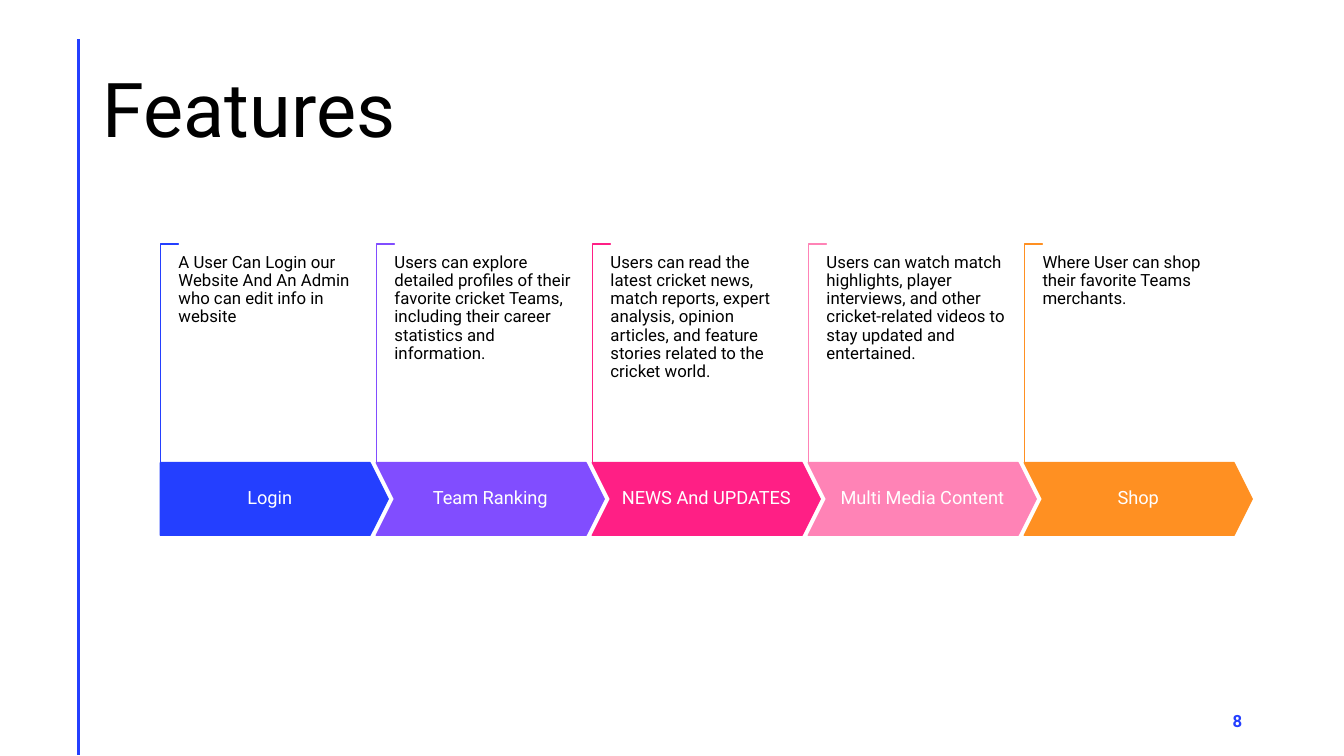
from lxml import etree
from pptx import Presentation
from pptx.dml.color import RGBColor
from pptx.enum.shapes import MSO_CONNECTOR, MSO_SHAPE
from pptx.enum.text import MSO_ANCHOR, MSO_AUTO_SIZE, PP_ALIGN
from pptx.oxml.ns import qn
from pptx.util import Inches, Pt

STRAIGHT = MSO_CONNECTOR.STRAIGHT
BRACKET, PENTAGON, CHEVRON = MSO_SHAPE.CORNER, MSO_SHAPE.PENTAGON, MSO_SHAPE.CHEVRON
TOP, MIDDLE = MSO_ANCHOR.TOP, MSO_ANCHOR.MIDDLE
LEFT, CENTER, RIGHT = PP_ALIGN.LEFT, PP_ALIGN.CENTER, PP_ALIGN.RIGHT

BLUE = RGBColor(0x24, 0x3F, 0xFF)
PURPLE = RGBColor(0x81, 0x4D, 0xFF)
MAGENTA = RGBColor(0xFF, 0x1F, 0x85)
PINK = RGBColor(0xFF, 0x83, 0xB6)
ORANGE = RGBColor(0xFF, 0x90, 0x22)
WHITE = RGBColor(0xFF, 0xFF, 0xFF)
BLACK = RGBColor(0, 0, 0)

# Content: name, description, colour, description height
TITLE = "Features"
PAGE_NUMBER = "8"
FEATURES = [
    ("Login",
     "A User Can Login our Website And An Admin who can edit info in website",
     BLUE, 1.96),
    ("Team Ranking",
     "Users can explore detailed profiles of their favorite cricket Teams, "
     "including their career statistics and information.",
     PURPLE, 1.96),
    ("NEWS And UPDATES",
     "Users can read the latest cricket news, match reports, expert analysis, "
     "opinion articles, and feature stories related to the cricket world.",
     MAGENTA, 1.55),
    ("Multi Media Content",
     "Users can watch match highlights, player interviews, and other "
     "cricket-related videos to stay updated and entertained.",
     PINK, 1.55),
    ("Shop", "Where User can shop their favorite Teams merchants.", ORANGE, 1.55),
]

# Text formats
TITLE_FONT = {"name": "Roboto", "size": Pt(54), "bold": False}
NUMBER_FONT = {"name": "Roboto", "size": Pt(12), "bold": True}
LABEL_FONT = {"name": "Roboto", "size": Pt(13)}
BODY_FONT = {"name": "Roboto", "size": Pt(12)}

# Layout in inches
FIRST_LEFT, PITCH = 1.59, 8.57 / 4
ARROW_TOP, ARROW_WIDTH, ARROW_HEIGHT = 4.59, 2.26, 0.72
BRACKET_LENGTH, BRACKET_DEPTH = 2.17, 0.18
BODY_TOP, BODY_WIDTH = 2.52, 1.83


def write(shape, text, font_format, color, align, anchor, margins=(0.1, 0.05), spacing=0.9):
    frame = shape.text_frame
    horizontal, vertical = (Inches(margin) for margin in margins)
    frame_format = {
        "auto_size": MSO_AUTO_SIZE.NONE, "word_wrap": True, "vertical_anchor": anchor,
        "margin_left": horizontal, "margin_right": horizontal,
        "margin_top": vertical, "margin_bottom": vertical,
    }
    for name, value in frame_format.items():
        setattr(frame, name, value)
    paragraph = frame.paragraphs[0]
    paragraph.alignment = align
    paragraph.line_spacing = spacing
    run = paragraph.add_run()
    run.text = text
    for name, value in font_format.items():
        setattr(run.font, name, value)
    run.font.color.rgb = color


def add_outline(slide, kind, box, fill, line, adjustments):
    shape = slide.shapes.add_shape(kind, *(Inches(value) for value in box))
    shape.shadow.inherit = False
    shape.fill.solid()
    shape.fill.fore_color.rgb = fill
    shape.line.color.rgb = line
    shape.line.width = Pt(1)
    for index, value in enumerate(adjustments):
        shape.adjustments[index] = value
    return shape


def add_text(slide, box, *text_format, **options):
    shape = slide.shapes.add_textbox(*(Inches(value) for value in box))
    write(shape, *text_format, **options)


def add_feature(slide, index, name, description, color, body_height):
    left = FIRST_LEFT + index * PITCH

    # Bracket: lies flat, then turns about its centre to stand on the arrow
    center_x = left + BRACKET_DEPTH / 2
    center_y = ARROW_TOP - BRACKET_LENGTH / 2
    bracket = add_outline(
        slide, BRACKET,
        (center_x - BRACKET_LENGTH / 2, center_y - BRACKET_DEPTH / 2,
         BRACKET_LENGTH, BRACKET_DEPTH),
        WHITE, color, (0.01, 0.01))
    bracket.rotation = 90

    # Arrow with its label
    arrow = add_outline(
        slide, CHEVRON if index else PENTAGON,
        (left, ARROW_TOP, ARROW_WIDTH, ARROW_HEIGHT), color, color, (0.25,))
    write(arrow, name, LABEL_FONT, WHITE, CENTER, MIDDLE, margins=(0.05, 0.05))

    # Description
    add_text(slide, (left + BRACKET_DEPTH, BODY_TOP, BODY_WIDTH, body_height),
             description, BODY_FONT, BLACK, LEFT, TOP, margins=(0, 0))


def main():
    presentation = Presentation()
    presentation.slide_width = Inches(13.33)
    presentation.slide_height = Inches(7.5)
    slide = presentation.slides.add_slide(presentation.slide_layouts[5])

    # Side line
    side_line = slide.shapes.add_connector(
        STRAIGHT, Inches(0.78), Inches(0.39), Inches(0.78), Inches(7.49))
    side_line.line.color.rgb = BLUE
    side_line.line.width = Pt(2)
    etree.SubElement(side_line._element.spPr, qn("a:effectLst"))

    # Title
    title = slide.shapes.title
    title.left, title.top = Inches(0.92), Inches(0.4)
    title.width, title.height = Inches(11.5), Inches(1.45)
    write(title, TITLE, TITLE_FONT, BLACK, LEFT, MIDDLE)

    # Features
    for index, feature in enumerate(FEATURES):
        add_feature(slide, index, *feature)

    # Page number
    add_text(slide, (9.42, 6.95, 3, 0.4),
             PAGE_NUMBER, NUMBER_FONT, BLUE, RIGHT, MIDDLE, spacing=1.0)

    presentation.save("out.pptx")


if __name__ == "__main__":
    main()
